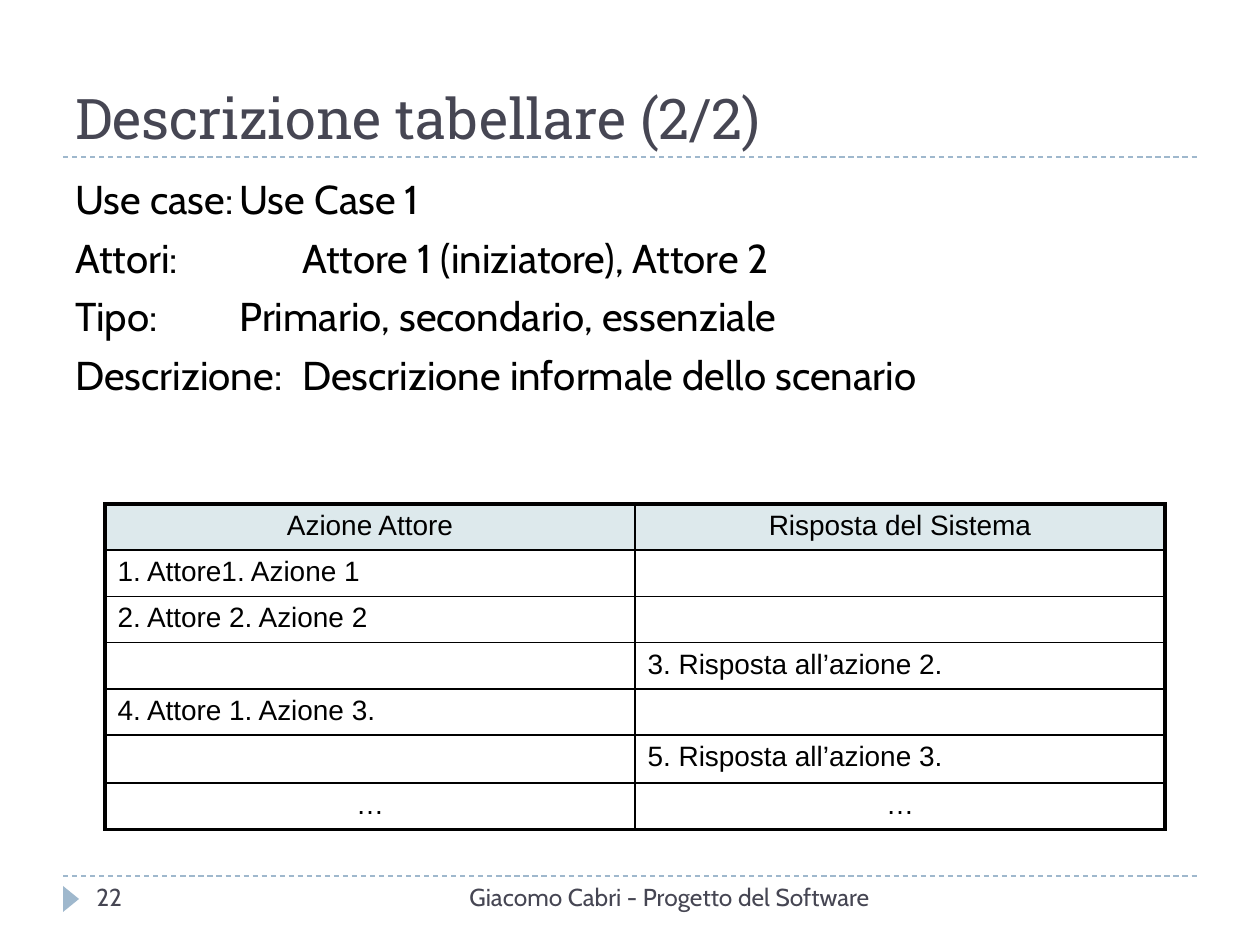
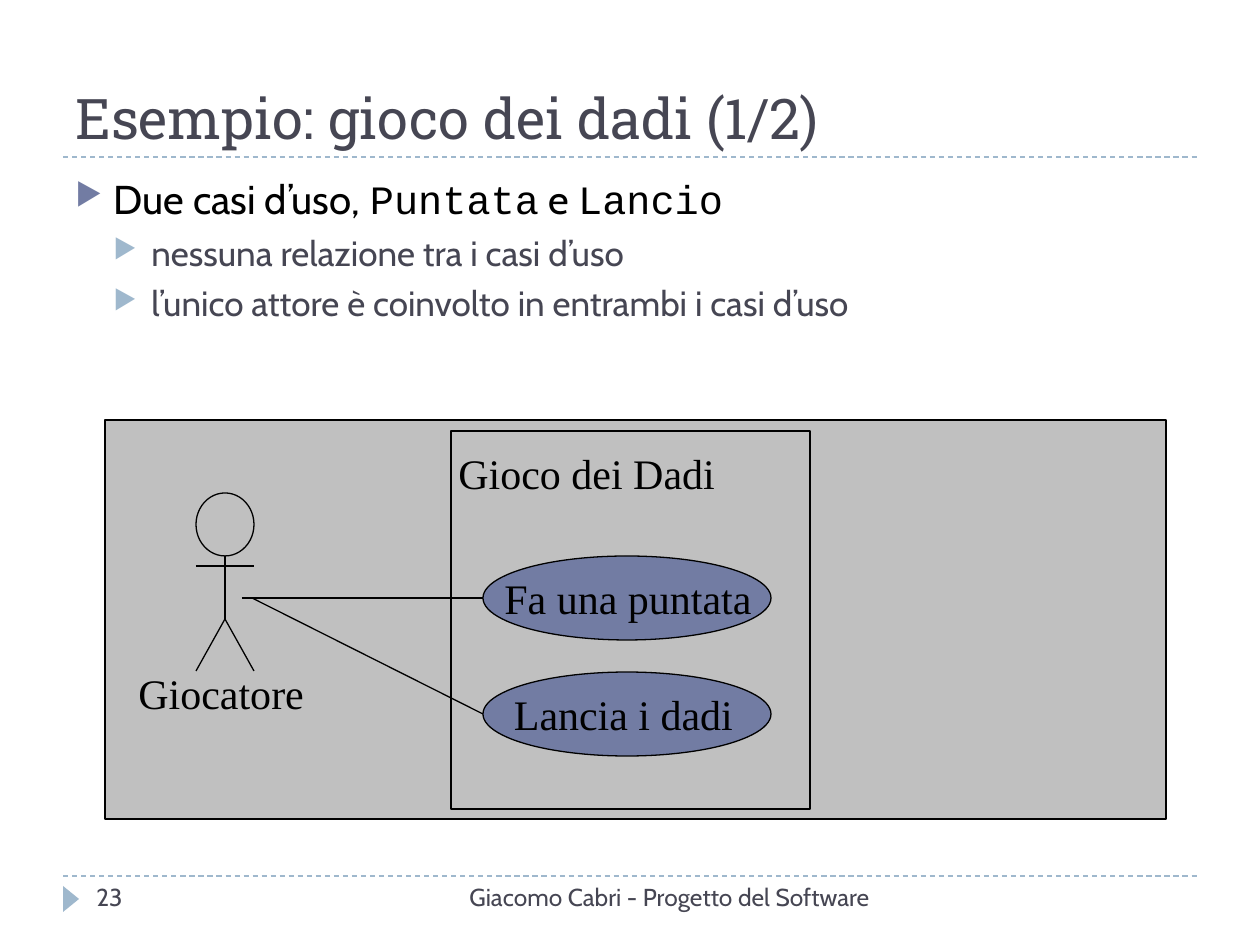
from lxml import etree
from pptx import Presentation
from pptx import util as u
from pptx.dml.color import RGBColor
from pptx.enum import dml, shapes, text
from pptx.oxml.ns import qn

PX = u.Inches(1) / 126
BLACK, WHITE, SLATE = "000000", "FFFFFF", "464653"
INDIGO, SKY, GREY, HEADER = "727CA3", "9FB8CD", "C0C0C0", "DDE9EC"
TITLE_FONT, BODY_FONT, CODE_FONT = "Roboto Slab", "Cabin", "Courier New"
TABLE_FONT, DIAGRAM_FONT = "Arial", "Times New Roman"
LEFT, CENTER, RIGHT = text.PP_ALIGN.LEFT, text.PP_ALIGN.CENTER, text.PP_ALIGN.RIGHT
THIN, THICK = 1, 2.25
RECTANGLE = shapes.MSO_SHAPE.RECTANGLE
OVAL = shapes.MSO_SHAPE.OVAL
FOOTER = "Giacomo Cabri - Progetto del Software"

FIELDS = [
    "Use case:\tUse Case 1",
    "Attori:\t\tAttore 1 (iniziatore), Attore 2",
    "Tipo:\t\tPrimario, secondario, essenziale",
    "Descrizione:\tDescrizione informale dello scenario",
]
SCENARIO = [
    ("Azione Attore", "Risposta del Sistema"),
    ("1. Attore1. Azione 1", ""),
    ("2. Attore 2. Azione 2", ""),
    ("", "3. Risposta all’azione 2."),
    ("4. Attore 1. Azione 3.", ""),
    ("", "5. Risposta all’azione 3."),
    ("…", "…"),
]
ROW_HEIGHTS = [44, 44, 44, 44, 44, 48, 44]


def px(length):
    """Turn pixels into EMU."""
    return u.Emu(round(length * PX))


def color(code):
    """Turn a hex string into a colour."""
    return RGBColor.from_string(code)


def add_span(para, words, font, size, ink):
    """Add one formatted run to a paragraph."""
    span = para.add_run()
    span.text = words
    span.font.name = font
    span.font.size = u.Pt(size)
    span.font.color.rgb = color(ink)


def add_box(page, left, top, width, height, anchor=text.MSO_ANCHOR.TOP):
    """Add an empty wrapping text box and return its frame."""
    frame = page.shapes.add_textbox(px(left), px(top), px(width), px(height)).text_frame
    frame.word_wrap = True
    frame.vertical_anchor = anchor
    return frame


def add_label(page, place, words, font, size, ink, align=LEFT, anchor=text.MSO_ANCHOR.TOP):
    """Add a text box that holds a single run."""
    para = add_box(page, *place, anchor).paragraphs[0]
    para.alignment = align
    add_span(para, words, font, size, ink)


def add_figure(parent, kind, left, top, width, height, fill=None, line=BLACK):
    """Add a flat preset shape, with or without fill and outline."""
    figure = parent.shapes.add_shape(kind, px(left), px(top), px(width), px(height))
    figure.shadow.inherit = False
    if fill:
        figure.fill.solid()
        figure.fill.fore_color.rgb = color(fill)
    else:
        figure.fill.background()
    if line:
        figure.line.color.rgb = color(line)
        figure.line.width = u.Pt(0.75)
    else:
        figure.line.fill.background()
    return figure


def add_line(parent, x1, y1, x2, y2, ink=BLACK, dashed=False):
    """Add a thin straight line without shadow."""
    line = parent.shapes.add_connector(
        shapes.MSO_CONNECTOR.STRAIGHT, px(x1), px(y1), px(x2), px(y2))
    line.line.color.rgb = color(ink)
    line.line.width = u.Pt(0.75)
    if dashed:
        line.line.dash_style = dml.MSO_LINE.DASH
    etree.SubElement(line._element.spPr, qn("a:effectLst"))


def add_page(deck, title, number):
    """Add a slide with its rules, marker, title and footer."""
    page = deck.slides.add_slide(deck.slide_layouts[6])
    for y in (876, 157):
        add_line(page, 63, y, 1197, y, SKY, dashed=True)
    marker = add_figure(page, shapes.MSO_SHAPE.ISOSCELES_TRIANGLE, 58, 891, 26, 16, SKY, None)
    marker.rotation = 90
    add_label(page, (63, 21, 1134, 136), title, TITLE_FONT, 32, SLATE,
              anchor=text.MSO_ANCHOR.BOTTOM)
    add_label(page, (399, 876, 483, 50), FOOTER, BODY_FONT, 14, SLATE, RIGHT)
    add_label(page, (84, 876, 273, 50), str(number), BODY_FONT, 14, SLATE)
    return page


def set_bullet(para, ink):
    """Give a paragraph a coloured triangle bullet."""
    props = para._p.get_or_add_pPr()
    tint = etree.SubElement(props, qn("a:buClr"))
    etree.SubElement(tint, qn("a:srgbClr"), val=ink)
    etree.SubElement(props, qn("a:buSzPct"), val="76000")
    etree.SubElement(props, qn("a:buChar"), char="▶")


def add_body(page, items):
    """Add paragraphs given as level, bullet colour and (words, font) spans."""
    frame = add_box(page, 63, 168, 1134, 680)
    for index, (level, bullet, spans) in enumerate(items):
        para = frame.add_paragraph() if index else frame.paragraphs[0]
        para.level = level
        para.space_before = u.Pt(6 - level)
        props = para._p.get_or_add_pPr()
        props.set("marL", str(px(38 * (level + 1))))
        props.set("indent", str(px(-38)))
        if bullet:
            set_bullet(para, bullet)
        for words, font in spans:
            add_span(para, words, font, (23, 20)[level], (BLACK, SLATE)[level])


def set_border(cell, side, points):
    """Draw one side of a cell in black."""
    props = cell._tc.get_or_add_tcPr()
    border = etree.SubElement(props, qn("a:ln" + side), w=str(u.Pt(points)))
    fill = etree.SubElement(border, qn("a:solidFill"))
    etree.SubElement(fill, qn("a:srgbClr"), val=BLACK)


def fill_cell(cell, words, fill, align):
    """Set the fill and the text of a cell."""
    cell.fill.solid()
    cell.fill.fore_color.rgb = color(fill)
    para = cell.text_frame.paragraphs[0]
    para.alignment = align
    if words:
        add_span(para, words, TABLE_FONT, 16, BLACK)
    else:
        etree.SubElement(para._p, qn("a:endParaRPr"), sz="1600")


def add_scenario(page, left, top, width):
    """Add the table of actions and responses."""
    last = len(SCENARIO) - 1
    table = page.shapes.add_table(
        len(SCENARIO), 2, px(left), px(top), px(width), px(sum(ROW_HEIGHTS))).table
    for column in table.columns:
        column.width = px(width / 2)
    for r, (entries, height) in enumerate(zip(SCENARIO, ROW_HEIGHTS)):
        table.rows[r].height = px(height)
        for c, words in enumerate(entries):
            cell = table.cell(r, c)
            outer = {"L": c == 0, "R": c == 1, "T": r == 0, "B": r == last}
            for side, is_outer in outer.items():
                set_border(cell, side, THICK if is_outer else THIN)
            fill_cell(cell, words, WHITE if r else HEADER, CENTER if r in (0, last) else LEFT)


def add_actor(page, center, top, name):
    """Add a grouped stick figure and its name."""
    left, right, neck, hip, feet = center - 29, center + 29, top + 63, top + 126, top + 178
    actor = page.shapes.add_group_shape()
    add_figure(actor, OVAL, left, top, 58, 63)
    add_line(actor, center, neck, center, hip)
    for foot in (left, right):
        add_line(actor, center, hip, foot, feet)
    add_line(actor, left, neck + 10, right, neck + 10)
    add_label(page, (126, feet - 10, 194, 63), name, DIAGRAM_FONT, 24, BLACK)


def add_use_case(page, top, name, label_left, label_width, hand):
    """Add a use case oval, its label and the line from the actor's hand."""
    add_figure(page, OVAL, 483, top, 288, 84, INDIGO)
    add_label(page, (label_left, top + 10, label_width, 63), name,
              DIAGRAM_FONT, 24, BLACK, CENTER)
    add_line(page, hand, 598, 483, top + 42)


def build_table_page(deck):
    """Build the slide with the tabular description."""
    page = add_page(deck, "Descrizione tabellare (2/2)", 22)
    add_body(page, [(0, None, [(field, BODY_FONT)]) for field in FIELDS])
    add_scenario(page, 105, 504, 1060)


def build_dice_page(deck):
    """Build the slide with the dice game diagram."""
    page = add_page(deck, "Esempio: gioco dei dadi (1/2)", 23)
    add_body(page, [
        (0, INDIGO, [("Due casi d’uso, ", BODY_FONT), ("Puntata", CODE_FONT),
                     (" e ", BODY_FONT), ("Lancio", CODE_FONT)]),
        (1, SKY, [("nessuna relazione tra i casi d’uso", BODY_FONT)]),
        (1, SKY, [("l’unico attore è coinvolto in entrambi i casi d’uso", BODY_FONT)]),
    ])
    add_figure(page, RECTANGLE, 105, 420, 1061, 399, GREY)
    add_actor(page, 225, 493, "Giocatore")
    add_figure(page, RECTANGLE, 451, 431, 359, 378)
    add_label(page, (446, 441, 368, 63), "Gioco dei Dadi", DIAGRAM_FONT, 24, BLACK)
    add_use_case(page, 556, "Fa una puntata", 472, 312, 242)
    add_use_case(page, 672, "Lancia i dadi", 462, 323, 252)


def main():
    """Build and save the deck."""
    deck = Presentation()
    deck.slide_width, deck.slide_height = px(1260), px(945)
    build_table_page(deck)
    build_dice_page(deck)
    deck.save("out.pptx")


if __name__ == "__main__":
    main()
